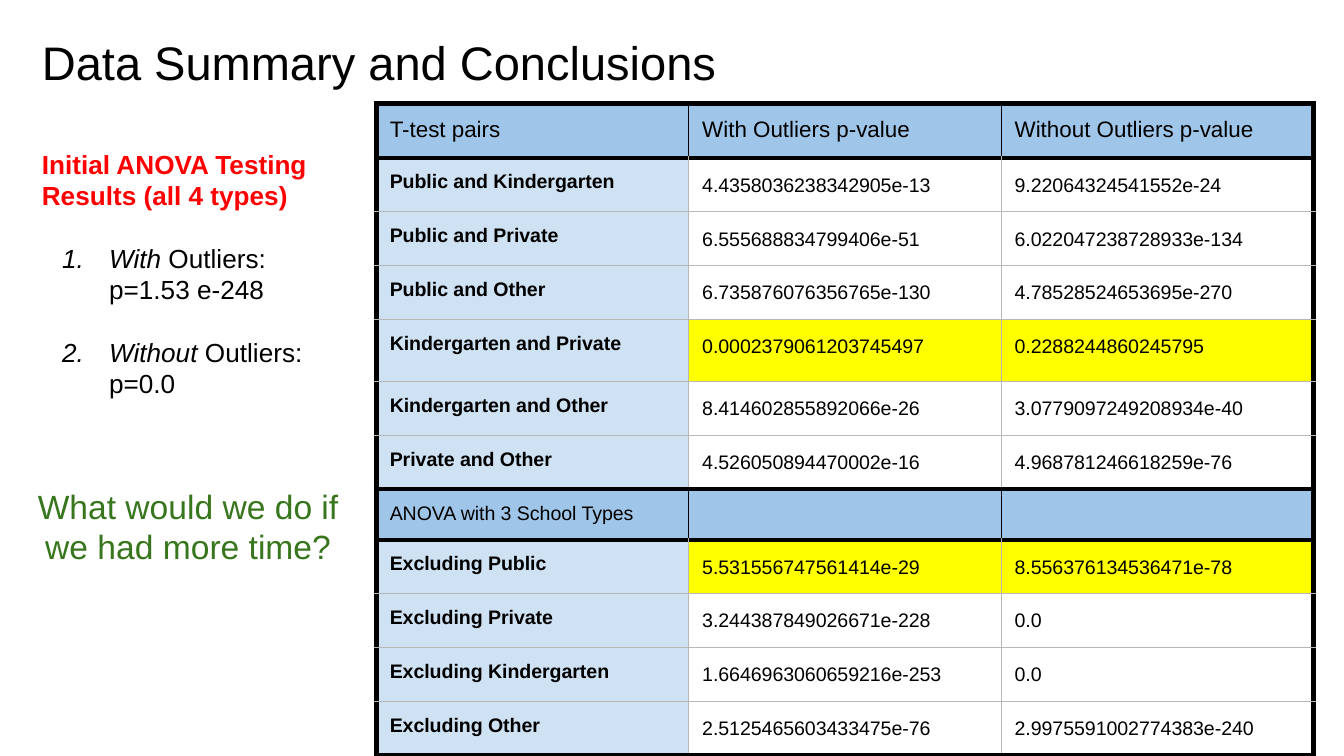
from pptx import Presentation
from pptx.dml.color import RGBColor
from pptx.enum.text import PP_ALIGN
from pptx.oxml.ns import qn
from pptx.util import Inches, Pt
from lxml.etree import SubElement

BLACK = RGBColor(0x00, 0x00, 0x00)
GREY = RGBColor(0xB7, 0xB7, 0xB7)
RED = RGBColor(0xFF, 0x00, 0x00)
GREEN = RGBColor(0x38, 0x76, 0x1D)
BLUE = RGBColor(0x9F, 0xC5, 0xE8)
PALE = RGBColor(0xCF, 0xE2, 0xF3)
YELLOW = RGBColor(0xFF, 0xFF, 0x00)

deck = Presentation()
deck.slide_width = Inches(10)
deck.slide_height = deck.slide_width * 9 // 16
slide = deck.slides.add_slide(deck.slide_layouts[6])

# Grid of 100 columns by 100 rows
COL, ROW = deck.slide_width / 100, deck.slide_height / 100
PAD = Inches(0.1)
PADS = {f"margin_{side}": PAD for side in ("left", "top", "right", "bottom")}


def add_run(para, text, size, color=BLACK, **style):
    run = para.add_run()
    run.text = text
    for key, val in {"name": "Arial", "size": Pt(size), **style}.items():
        setattr(run.font, key, val)
    run.font.color.rgb = color


def add_box(x, y, wide, high):
    box = slide.shapes.add_textbox(int(x * COL), int(y * ROW), int(wide * COL), int(high * ROW))
    frame = box.text_frame
    for key, val in {"word_wrap": True, **PADS}.items():
        setattr(frame, key, val)
    return frame


# Title
title = add_box(2.13, 2.67, 93.2, 11.2)
add_run(title.paragraphs[0], "Data Summary and Conclusions", 25.2)

# Table of p-values
HEAD, BAND = 0, 7
rows = [
    ("T-test pairs", "With Outliers p-value", "Without Outliers p-value"),
    ("Public and Kindergarten", "4.4358036238342905e-13", "9.22064324541552e-24"),
    ("Public and Private", "6.555688834799406e-51", "6.022047238728933e-134"),
    ("Public and Other", "6.735876076356765e-130", "4.78528524653695e-270"),
    ("Kindergarten and Private", "0.0002379061203745497", "0.2288244860245795"),
    ("Kindergarten and Other", "8.414602855892066e-26", "3.0779097249208934e-40"),
    ("Private and Other", "4.526050894470002e-16", "4.968781246618259e-76"),
    ("ANOVA with 3 School Types", "", ""),
    ("Excluding Public", "5.531556747561414e-29", "8.556376134536471e-78"),
    ("Excluding Private", "3.244387849026671e-228", "0.0"),
    ("Excluding Kindergarten", "1.6646963060659216e-253", "0.0"),
    ("Excluding Other", "2.5125465603433475e-76", "2.9975591002774383e-240"),
]
highs = {HEAD: 0, 4: 8.19}  # the other rows grow to fit their text
last = len(rows) - 1
table = slide.shapes.add_table(len(rows), 3, int(28 * COL), int(13.75 * ROW),
                               int(32.8 * COL), int(58.3 * ROW)).table
table.first_row = table.horz_banding = False
for col in table.columns:
    col.width = int(23.25 * COL)

for r, texts in enumerate(rows):
    table.rows[r].height = int(highs.get(r, 5.33) * ROW)
    dark = r in (HEAD, BAND)
    for c, text in enumerate(texts):
        cell = table.cell(r, c)
        for key, val in PADS.items():
            setattr(cell, key, val)

        # Borders: heavy frame, medium rules round the blue bands, thin inside
        thin = (BLACK if dark else GREY, 0.75)
        rule, edge = (BLACK, 2.25), (BLACK, 3)
        lines = {
            "L": edge if c == 0 else thin,
            "R": edge if c == 2 else thin,
            "T": edge if r == 0 else rule if dark or r - 1 in (HEAD, BAND) else thin,
            "B": edge if r == last else rule if dark or r + 1 == BAND else thin,
        }
        props = cell._tc.get_or_add_tcPr()
        for side, (color, width) in lines.items():
            line = SubElement(props, qn(f"a:ln{side}"), w=str(Pt(width)))
            fill = SubElement(line, qn("a:solidFill"))
            SubElement(fill, qn("a:srgbClr"), val=str(color))

        # Fill
        tint = BLUE if dark else PALE if c == 0 else YELLOW if r in (4, 8) else None
        if tint:
            cell.fill.solid()
            cell.fill.fore_color.rgb = tint
        else:
            cell.fill.background()

        # Text
        para = cell.text_frame.paragraphs[0]
        size = 12 if r == HEAD else 10.5
        if text:
            add_run(para, text, size, bold=c == 0 and not dark)
        else:
            para._p.get_or_add_endParaRPr().set("sz", str(int(size * 100)))
        if c and not dark:
            para.line_spacing = 1.15

# First test results
notes = add_box(2.13, 17.8, 25.87, 37.2)
add_run(notes.paragraphs[0], "Initial ANOVA Testing Results (all 4 types)", 14, RED, bold=True)
for num, (word, value) in enumerate([("With", "p=1.53 e-248"), ("Without", "p=0.0")], 1):
    item, result = notes.add_paragraph(), notes.add_paragraph()
    item.space_before = Pt(16.8)
    for para, hang in ((item, -0.35), (result, 0)):
        para._p.get_or_add_pPr().set("marL", str(Inches(0.5)))
        para._p.get_or_add_pPr().set("indent", str(Inches(hang)))
    SubElement(item._p.get_or_add_pPr(), qn("a:buAutoNum"), type="arabicPeriod", startAt=str(num))
    add_run(item, word, 14, italic=True)
    add_run(item, " Outliers:", 14)
    add_run(result, value, 14)

# Closing question
ask = add_box(0, 62.5, 28, 14.4)
ask.paragraphs[0].alignment = PP_ALIGN.CENTER
add_run(ask.paragraphs[0], "What would we do if we had more time?", 18, GREEN)

deck.save("out.pptx")
